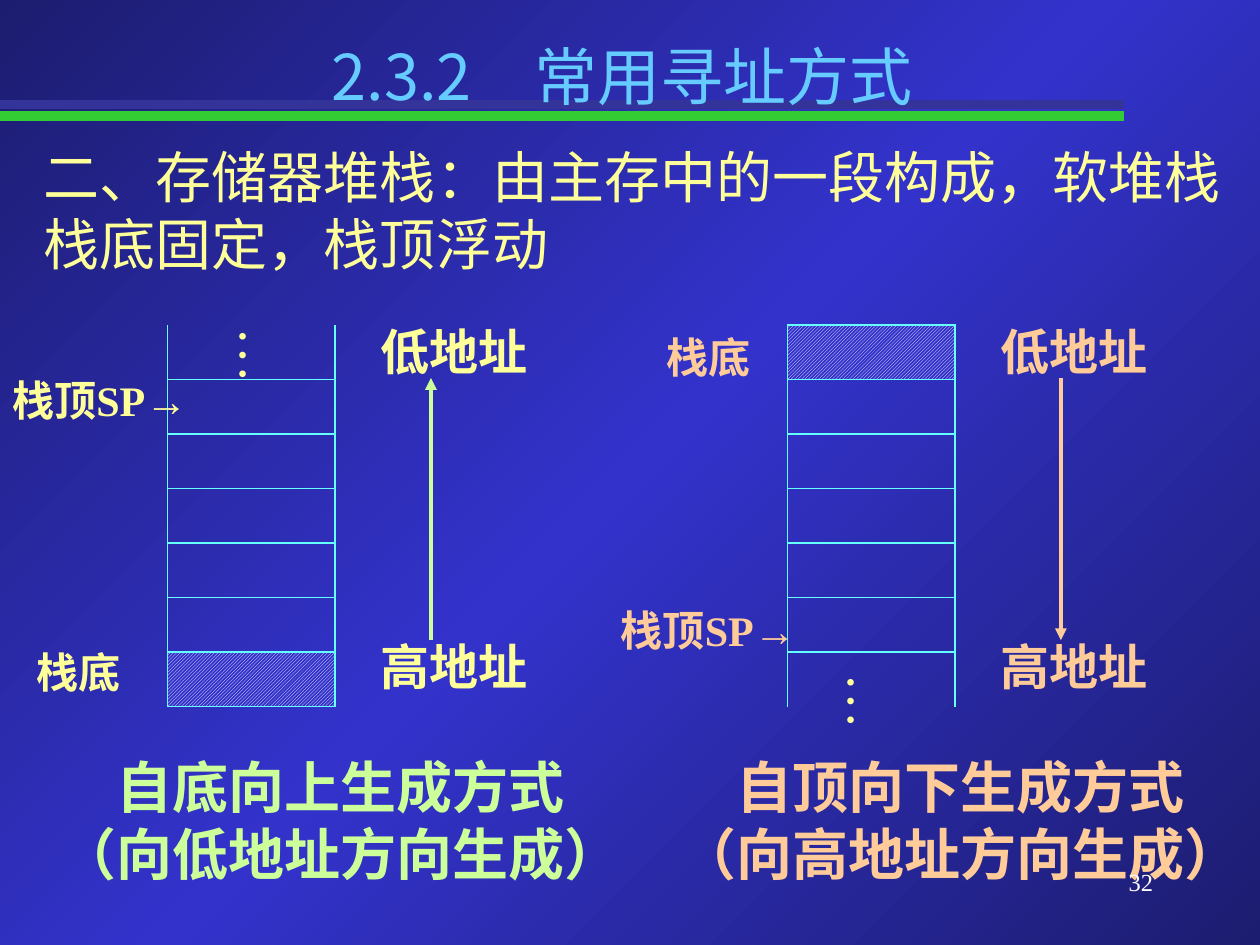
import copy
from dataclasses import dataclass

import lxml.etree
import pptx
import pptx.dml.color
import pptx.enum.dml
import pptx.enum.shapes
import pptx.enum.text
import pptx.oxml
import pptx.oxml.ns
import pptx.util

Inches = pptx.util.Inches
Pt = pptx.util.Pt
RGBColor = pptx.dml.color.RGBColor
CENTER = pptx.enum.text.PP_ALIGN.CENTER
RIGHT = pptx.enum.text.PP_ALIGN.RIGHT
qn = pptx.oxml.ns.qn

WHITE = RGBColor(0xFF, 0xFF, 0xFF)
NAVY = RGBColor(0x1C, 0x1C, 0x70)
BLUE = RGBColor(0x33, 0x33, 0xCC)
INDIGO = RGBColor(0x33, 0x33, 0x99)
GREEN = RGBColor(0x33, 0xCC, 0x33)
SKY = RGBColor(0x66, 0xCC, 0xFF)
CYAN = RGBColor(0x66, 0xFF, 0xFF)
YELLOW = RGBColor(0xFF, 0xFF, 0x99)
LIME = RGBColor(0xCC, 0xFF, 0x99)
PEACH = RGBColor(0xFF, 0xCC, 0x99)

SERIF = "Times New Roman"
SANS = "Noto Sans CJK SC"
ROWS = 7
STACK_HEIGHT = 3.03


@dataclass
class Stack:
    """What sets one way of growing a stack apart from the other."""
    caption: str
    label_color: RGBColor
    accent: RGBColor
    base_row: int
    open_row: int
    base_at: tuple
    pointer_at: tuple
    dots_at: tuple
    arrow_left: float
    arrow_ends: tuple


UPWARD = Stack("自底向上生成方式\v（向低地址方向生成）", YELLOW, LIME, ROWS - 1, 0,
               (0, 5.08), (0, 2.92), (1.67, 2.5), 3.42, (5.08, 3))
DOWNWARD = Stack("自顶向下生成方式\v（向高地址方向生成）", PEACH, PEACH, 0, ROWS - 1,
                 (0.08, 2.58), (-0.09, 4.75), (1.58, 5.25), 3.5, (3, 5.08))


def add_text(page, text, left, top, width, height, size, color,
             bold=False, align=None, face=SERIF):
    """Add a wrapped text box holding one paragraph and return it."""
    box = page.shapes.add_textbox(Inches(left), Inches(top), Inches(width), Inches(height))
    box.text_frame.word_wrap = True
    para = box.text_frame.paragraphs[0]
    para.text = text
    para.alignment = align
    para.font.name = face
    para.font.size = Pt(size)
    para.font.bold = bold
    para.font.color.rgb = color
    return box


def add_line(page, start, end, color, width):
    """Add a straight line without a shadow and return it."""
    line = page.shapes.add_connector(
        pptx.enum.shapes.MSO_CONNECTOR.STRAIGHT,
        Inches(start[0]), Inches(start[1]), Inches(end[0]), Inches(end[1]))
    line.line.color.rgb = color
    line.line.width = Pt(width)
    lxml.etree.SubElement(line._element.spPr, qn("a:effectLst"))
    return line


def add_arrow(page, start, end, color):
    """Add a line with a triangle at its end."""
    line = add_line(page, start, end, color, 2.25)
    head = lxml.etree.SubElement(line.line._get_or_add_ln(), qn("a:tailEnd"))
    head.set("type", "triangle")


def set_borders(cell, hidden):
    """Draw the cell's four sides, leaving out the hidden one."""
    properties = cell._tc.get_or_add_tcPr()
    for place, side in enumerate(("lnL", "lnR", "lnT", "lnB")):
        paint = ("<a:noFill/>" if side == hidden else
                 f'<a:solidFill><a:srgbClr val="{CYAN}"/></a:solidFill>')
        properties.insert(place, pptx.oxml.parse_xml(
            f'<a:{side} {pptx.oxml.ns.nsdecls("a")} w="{Pt(1)}">{paint}</a:{side}>'))


def add_memory(page, left, top, stack):
    """Add the column of memory cells with a hatched base and an open end."""
    table = page.shapes.add_table(ROWS, 1, Inches(left), Inches(top),
                                  Inches(1.33), Inches(STACK_HEIGHT)).table
    table.first_row = table.horz_banding = False
    open_side = "lnT" if stack.open_row == 0 else "lnB"
    for index in range(ROWS):
        table.rows[index].height = Inches(STACK_HEIGHT / ROWS)
        cell = table.cell(index, 0)
        if index == stack.base_row:
            cell.fill.patterned()
            cell.fill.pattern = pptx.enum.dml.MSO_PATTERN.DARK_UPWARD_DIAGONAL
            cell.fill.fore_color.rgb = WHITE
            cell.fill.back_color.rgb = BLUE
        else:
            cell.fill.background()
        set_borders(cell, open_side if index == stack.open_row else None)


def add_stack(page, left, stack):
    """Place one stack diagram with its labels, arrow and caption."""
    add_memory(page, left + 1.33, 2.58, stack)
    for text, (x, y), width, align in (("栈底", stack.base_at, 1.25, CENTER),
                                       ("栈顶SP→", stack.pointer_at, 2.5, None)):
        add_text(page, text, left + x, y, width, 0.5, 24, stack.label_color, True, align)
    for text, y in (("低地址", 2.5), ("高地址", 5)):
        add_text(page, text, left + 2.92, y, 1.58, 0.57, 28, stack.label_color, True)
    x, y = stack.dots_at
    dots = add_text(page, "…", left + x, y, 0.73, 0.55, 32, YELLOW, align=CENTER)
    dots.text_frame.word_wrap = False
    dots.text_frame._txBody.bodyPr.set("vert", "eaVert")
    start, end = stack.arrow_ends
    x = left + stack.arrow_left
    add_arrow(page, (x, start), (x, end), stack.accent)
    add_text(page, stack.caption, left + 0.33, 5.92, 4.75, 1.17, 32, stack.accent, True, CENTER)


def paint_background(page):
    """Fill the page with a diagonal gradient that is brightest in the middle."""
    fill = page.background.fill
    fill.gradient()
    fill.gradient_angle = 315
    first = fill.gradient_stops[0]._gs
    first.addnext(copy.deepcopy(first))
    for stop, position, color in zip(fill.gradient_stops, (0, 0.5, 1), (NAVY, BLUE, NAVY)):
        stop.position = position
        stop.color.rgb = color


def add_header(page):
    """Place the double rule, the title and the introduction."""
    for top, color in ((0.92, GREEN), (0.83, INDIGO)):
        add_line(page, (0, top), (8.92, top), color, 5.5)
    add_text(page, "2.3.2　常用寻址方式", 1.58, 0.25, 6.72, 0.7, 36, SKY, align=CENTER, face=SANS)
    add_text(page, "二、存储器堆栈：由主存中的一段构成，软堆栈\v栈底固定，栈顶浮动",
             0.25, 1.08, 9.75, 1.17, 32, YELLOW)


def main():
    """Build the slide and save it."""
    deck = pptx.Presentation()
    deck.slide_width, deck.slide_height = Inches(10), Inches(7.5)
    page = deck.slides.add_slide(deck.slide_layouts[6])
    paint_background(page)
    add_header(page)
    add_stack(page, 0, UPWARD)
    add_stack(page, 4.92, DOWNWARD)
    add_text(page, "32", 7.17, 6.83, 2.08, 0.5, 14, WHITE, align=RIGHT)
    deck.save("out.pptx")


if __name__ == "__main__":
    main()
